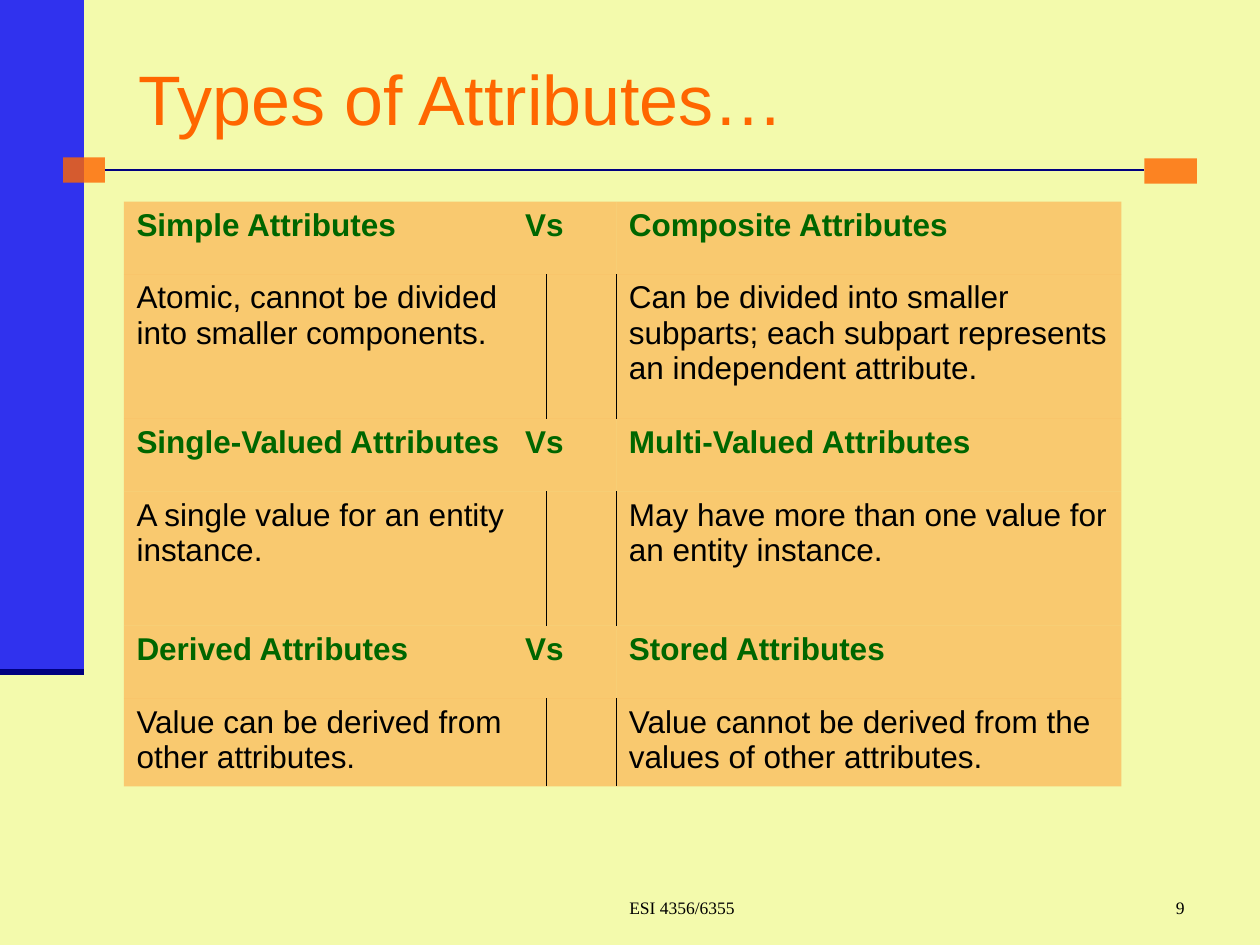
from dataclasses import dataclass
from typing import NamedTuple

from lxml import etree
from pptx import Presentation
from pptx.dml.color import RGBColor
from pptx.enum.shapes import MSO_CONNECTOR, MSO_SHAPE
from pptx.enum.text import MSO_ANCHOR, PP_ALIGN
from pptx.oxml.ns import qn
from pptx.util import Inches, Pt

LEFT, CENTER, RIGHT = PP_ALIGN.LEFT, PP_ALIGN.CENTER, PP_ALIGN.RIGHT
MIDDLE, BOTTOM = MSO_ANCHOR.MIDDLE, MSO_ANCHOR.BOTTOM
RECTANGLE, STRAIGHT = MSO_SHAPE.RECTANGLE, MSO_CONNECTOR.STRAIGHT
NO_TABLE_STYLE = "{2D5ABB26-0587-4C30-8999-92F81FD0307C}"

# The slide is a grid of 120 columns by 90 rows, twelve to the inch
WIDTH, HEIGHT = Inches(10), Inches(7.5)
UNIT = WIDTH / 120


@dataclass(frozen=True)
class Theme:
    background: str = "F3FAAC"
    sidebar: str = "0000FF"
    rule: str = "000080"
    accent: str = "FF6600"
    cell: str = "FF9933"
    heading: str = "006600"
    body: str = "000000"
    sans: str = "Arial"
    serif: str = "Times New Roman"
    title_size: float = 40
    table_size: float = 18
    footer_size: float = 10
    divider_width: float = 0.45


THEME = Theme()


class Box(NamedTuple):
    column: float
    row: float
    columns: float
    rows: float


class Block(NamedTuple):
    box: Box
    color: str


class Rule(NamedTuple):
    start: float
    end: float
    row: float
    width: float


class Comparison(NamedTuple):
    left: str
    right: str
    left_meaning: str
    right_meaning: str


BLOCKS = (
    Block(Box(0, 0, 8, 64), THEME.sidebar),
    Block(Box(109, 15.1, 5, 2.4), THEME.accent),
    Block(Box(6, 15, 4, 2.4), THEME.accent),
)
RULES = (Rule(0, 8, 64, 3.5), Rule(10, 109, 16.2, 1.5))

COMPARISONS = (
    Comparison("Simple Attributes", "Composite Attributes",
               "Atomic, cannot be divided into smaller components.",
               "Can be divided into smaller subparts; each subpart represents "
               "an independent attribute."),
    Comparison("Single-Valued Attributes", "Multi-Valued Attributes",
               "A single value for an entity instance.",
               "May have more than one value for an entity instance."),
    Comparison("Derived Attributes", "Stored Attributes",
               "Value can be derived from other attributes.",
               "Value cannot be derived from the values of other attributes."),
)
TABLE_BOX = Box(11.8, 19.2, 95, 55.6)
TABLE_COLUMNS = (40.2, 6.7, 48.1)
HEADING_ROWS = 6.9
MEANING_ROWS = (13.8, 12.8, 8.4)
VERSUS_STOP = 37


def grid(units: float) -> int:
    return round(units * UNIT)


def place(box: Box) -> list[int]:
    return [grid(units) for units in box]


def fill_with(fill, color: str, opacity: int) -> None:
    fill.solid()
    fill.fore_color.rgb = RGBColor.from_string(color)
    rgb = fill._xPr.find(f".//{qn('a:srgbClr')}")
    etree.SubElement(rgb, qn("a:alpha"), val=str(opacity * 1000))


def write(frame, text: str, *, size: float, color: str, font: str = THEME.sans,
          bold: bool = False, align=LEFT, indent: float = 0,
          tab_stop: float = 0) -> None:
    paragraph = frame.paragraphs[0]
    properties = paragraph._p.get_or_add_pPr()
    properties.set("marL", str(Inches(indent)))
    if tab_stop:
        stops = etree.SubElement(properties, qn("a:tabLst"))
        etree.SubElement(stops, qn("a:tab"), pos=str(grid(tab_stop)), algn="l")
    paragraph.alignment = align
    run = paragraph.add_run()
    run.text = text
    run.font.size, run.font.name, run.font.bold = Pt(size), font, bold
    run.font.color.rgb = RGBColor.from_string(color)


def add_text(slide, box: Box, text: str, anchor, **text_format) -> None:
    frame = slide.shapes.add_textbox(*place(box)).text_frame
    frame.word_wrap = True
    frame.vertical_anchor = anchor
    write(frame, text, **text_format)


def add_block(slide, block: Block) -> None:
    shape = slide.shapes.add_shape(RECTANGLE, *place(block.box))
    shape.shadow.inherit = False
    shape.line.fill.background()
    fill_with(shape.fill, block.color, 80)


def add_rule(slide, rule: Rule) -> None:
    y = grid(rule.row)
    line = slide.shapes.add_connector(STRAIGHT, grid(rule.start), y, grid(rule.end), y)
    line.line.color.rgb = RGBColor.from_string(THEME.rule)
    line.line.width = Pt(rule.width)
    etree.SubElement(line._element.spPr, qn("a:effectLst"))


def add_divider(cell, side: str) -> None:
    border = etree.Element(qn(f"a:{side}"), w=str(Pt(THEME.divider_width)))
    solid = etree.SubElement(border, qn("a:solidFill"))
    etree.SubElement(solid, qn("a:srgbClr"), val=THEME.body)
    cell._tc.get_or_add_tcPr().insert(0, border)


def add_comparisons(slide) -> None:
    table = slide.shapes.add_table(2 * len(COMPARISONS), len(TABLE_COLUMNS),
                                   *place(TABLE_BOX)).table
    table.first_row = table.horz_banding = False
    table._tbl.tblPr.find(qn("a:tableStyleId")).text = NO_TABLE_STYLE
    for column, width in zip(table.columns, TABLE_COLUMNS):
        column.width = grid(width)
    for cell in table.iter_cells():
        fill_with(cell.fill, THEME.cell, 50)

    heading = dict(size=THEME.table_size, color=THEME.heading, bold=True)
    meaning = dict(size=THEME.table_size, color=THEME.body)
    for index, (pair, rows) in enumerate(zip(COMPARISONS, MEANING_ROWS)):
        top, bottom = 2 * index, 2 * index + 1
        table.rows[top].height, table.rows[bottom].height = grid(HEADING_ROWS), grid(rows)
        # Heading row: the left name and "Vs" share two columns
        table.cell(top, 0).merge(table.cell(top, 1))
        write(table.cell(top, 0).text_frame, f"{pair.left}\tVs",
              tab_stop=VERSUS_STOP, **heading)
        write(table.cell(top, 2).text_frame, pair.right, **heading)
        # Meaning row: a thin divider stands under "Vs"
        write(table.cell(bottom, 0).text_frame, pair.left_meaning, **meaning)
        write(table.cell(bottom, 2).text_frame, pair.right_meaning, **meaning)
        add_divider(table.cell(bottom, 0), "lnR")
        add_divider(table.cell(bottom, 1), "lnL")


def main() -> None:
    deck = Presentation()
    deck.slide_width, deck.slide_height = WIDTH, HEIGHT
    slide = deck.slides.add_slide(deck.slide_layouts[6])
    slide.background.fill.solid()
    slide.background.fill.fore_color.rgb = RGBColor.from_string(THEME.background)

    # Side band, accent blocks and rules
    for block in BLOCKS:
        add_block(slide, block)
    for rule in RULES:
        add_rule(slide, rule)

    # Title and table
    add_text(slide, Box(12, 3.6, 102, 11.4), "Types of Attributes…", MIDDLE,
             size=THEME.title_size, color=THEME.accent)
    add_comparisons(slide)

    # Footer
    footer = dict(size=THEME.footer_size, color=THEME.body, font=THEME.serif, indent=0.24)
    add_text(slide, Box(44, 82, 39, 6), "ESI 4356/6355", BOTTOM, align=CENTER, **footer)
    add_text(slide, Box(89, 82, 25, 6), "9", BOTTOM, align=RIGHT, **footer)
    deck.save("out.pptx")


if __name__ == "__main__":
    main()
